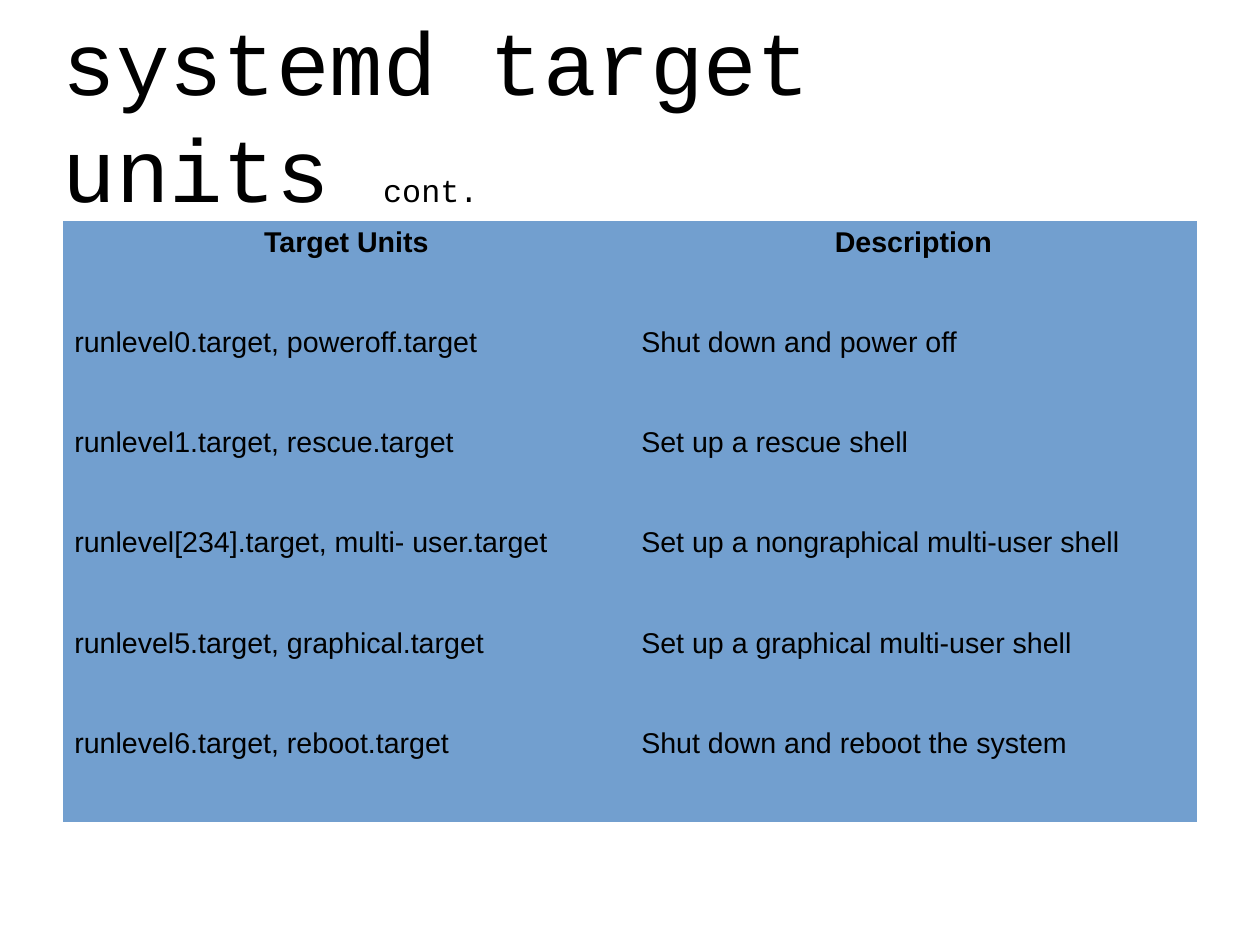
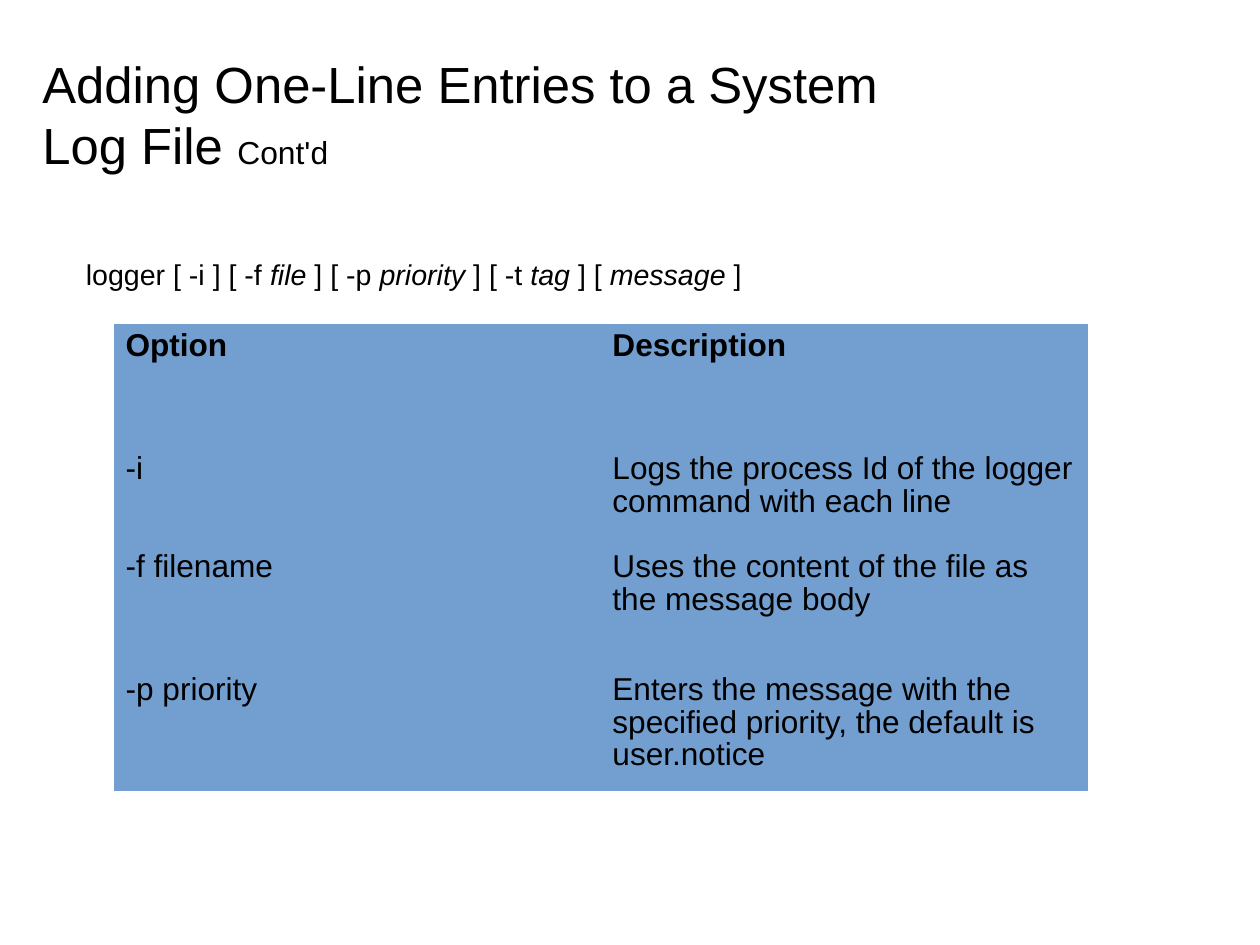
from dataclasses import dataclass

from pptx import Presentation
from pptx.dml.color import RGBColor
from pptx.enum.text import MSO_ANCHOR, MSO_AUTO_SIZE, PP_ALIGN
from pptx.oxml.ns import qn
from pptx.util import Cm, Inches, Pt

TOP, MIDDLE, BOTTOM = MSO_ANCHOR.TOP, MSO_ANCHOR.MIDDLE, MSO_ANCHOR.BOTTOM
LEFT, CENTER = PP_ALIGN.LEFT, PP_ALIGN.CENTER
NO_AUTOFIT = MSO_AUTO_SIZE.NONE

SLIDE_WIDTH, SLIDE_HEIGHT = Cm(28), Cm(21)
COLORS = {"text": "000000", "cell": "729FCF"}
SANS, MONO = "Arial", "Courier New"
PLAIN_TABLE_STYLE = "{2D5ABB26-0587-4C30-8999-92F81FD0307C}"
TITLE_ONLY_LAYOUT, CONTENT_LAYOUT = 5, 1
LINE_PITCH = 1.2
LINE_BREAK = "\n"


@dataclass
class PercentBox:
    left: float
    top: float
    width: float
    height: float

    def lengths(self) -> tuple[int, int, int, int]:
        return (across(self.left), down(self.top),
                across(self.width), down(self.height))


@dataclass
class Span:
    text: str
    size: float
    font: str = SANS
    bold: bool = False
    italic: bool = False


@dataclass
class TextBlock:
    box: PercentBox
    spans: list[Span]
    anchor: MSO_ANCHOR = TOP
    insets: tuple[float, float, float, float] = (0.1, 0.05, 0.1, 0.05)


@dataclass
class Grid:
    left: float
    top: float
    width: float
    row_heights: list[float]
    rows: list[tuple[str, str]]
    size: float
    header_alignment: PP_ALIGN = LEFT
    line_spacing: float = 1.0


def across(percent: float) -> int:
    return round(SLIDE_WIDTH * percent / 100)


def down(percent: float) -> int:
    return round(SLIDE_HEIGHT * percent / 100)


def add_span(paragraph, span: Span) -> None:
    if span.text == LINE_BREAK:
        paragraph.add_line_break()
        return
    run = paragraph.add_run()
    run.text = span.text
    font = run.font
    font.name, font.size = span.font, Pt(span.size)
    font.bold, font.italic = span.bold, span.italic
    font.color.rgb = RGBColor.from_string(COLORS["text"])


def fill_placeholder(shape, block: TextBlock):
    shape.left, shape.top, shape.width, shape.height = block.box.lengths()
    frame = shape.text_frame
    frame.word_wrap = True
    frame.auto_size = NO_AUTOFIT
    frame.vertical_anchor = block.anchor
    (frame.margin_left, frame.margin_top,
     frame.margin_right, frame.margin_bottom) = map(Inches, block.insets)
    paragraph = frame.paragraphs[0]
    paragraph.alignment = LEFT
    paragraph.space_before = Pt(0)
    paragraph.line_spacing = Pt(block.spans[0].size * LINE_PITCH)
    for span in block.spans:
        add_span(paragraph, span)
    return paragraph


def fill_body(shape, block: TextBlock) -> None:
    properties = fill_placeholder(shape, block)._p.get_or_add_pPr()
    properties.set("marL", str(Inches(0.37)))
    properties.set("indent", str(Inches(-0.36)))
    properties.append(properties.makeelement(qn("a:buNone"), {}))


def add_grid(slide, grid: Grid) -> None:
    box = PercentBox(grid.left, grid.top, grid.width, sum(grid.row_heights))
    table = slide.shapes.add_table(
        len(grid.rows), len(grid.rows[0]), *box.lengths()).table
    table._tbl.tblPr.find(qn("a:tableStyleId")).text = PLAIN_TABLE_STYLE
    table.first_row = table.horz_banding = False
    for row_index, (height, texts) in enumerate(zip(grid.row_heights, grid.rows)):
        table.rows[row_index].height = down(height)
        is_header = row_index == 0
        for column_index, text in enumerate(texts):
            cell = table.cell(row_index, column_index)
            cell.fill.solid()
            cell.fill.fore_color.rgb = RGBColor.from_string(COLORS["cell"])
            paragraph = cell.text_frame.paragraphs[0]
            paragraph.alignment = grid.header_alignment if is_header else LEFT
            paragraph.line_spacing = grid.line_spacing
            add_span(paragraph, Span(text, grid.size, bold=is_header))


TARGET_TITLE = TextBlock(
    PercentBox(4.99, 0.73, 69.69, 22.61),
    [Span("systemd target units ", 56.1, MONO), Span("cont.", 20, MONO)],
    anchor=MIDDLE, insets=(0, 0, 0, 0),
)
TARGET_GRID = Grid(
    4.99, 23.34, 90, [10.61] * 6,
    [
        ("Target Units", "Description"),
        ("runlevel0.target, poweroff.target", "Shut down and power off"),
        ("runlevel1.target, rescue.target", "Set up a rescue shell"),
        ("runlevel[234].target, multi- user.target",
         "Set up a nongraphical multi-user shell"),
        ("runlevel5.target, graphical.target",
         "Set up a graphical multi-user shell"),
        ("runlevel6.target, reboot.target", "Shut down and reboot the system"),
    ],
    size=18, header_alignment=CENTER,
)
LOGGER_TITLE = TextBlock(
    PercentBox(2.45, 2.42, 89.2, 16.69),
    [Span("Adding One-Line Entries to a System ", 32), Span(LINE_BREAK, 32),
     Span("Log File ", 32), Span("Cont'd", 20)],
    anchor=BOTTOM,
)
LOGGER_SYNTAX = TextBlock(
    PercentBox(5.81, 26.63, 89.2, 58.89),
    [Span(text, 18, italic=index % 2 == 1) for index, text in enumerate(
        ("logger [ -i ] [ -f ", "file", " ] [ -p ", "priority",
         " ] [ -t ", "tag", " ] [ ", "message", " ]"))],
)
LOGGER_GRID = Grid(
    9.06, 34.34, 77.28, [13, 10.4, 13, 13],
    [
        ("Option", "Description"),
        ("-i", "Logs the process Id of the logger command with each line"),
        ("-f filename", "Uses the content of the file as the message body"),
        ("-p priority", "Enters the message with the specified priority, "
                        "the default is user.notice"),
    ],
    size=19.9, line_spacing=0.93,
)


def add_slide(presentation, layout: int, title: TextBlock):
    slide = presentation.slides.add_slide(presentation.slide_layouts[layout])
    fill_placeholder(slide.shapes.title, title)
    return slide


def main() -> None:
    presentation = Presentation()
    presentation.slide_width = SLIDE_WIDTH
    presentation.slide_height = SLIDE_HEIGHT

    target_slide = add_slide(presentation, TITLE_ONLY_LAYOUT, TARGET_TITLE)
    add_grid(target_slide, TARGET_GRID)

    logger_slide = add_slide(presentation, CONTENT_LAYOUT, LOGGER_TITLE)
    fill_body(logger_slide.placeholders[1], LOGGER_SYNTAX)
    add_grid(logger_slide, LOGGER_GRID)

    presentation.save("out.pptx")


if __name__ == "__main__":
    main()
